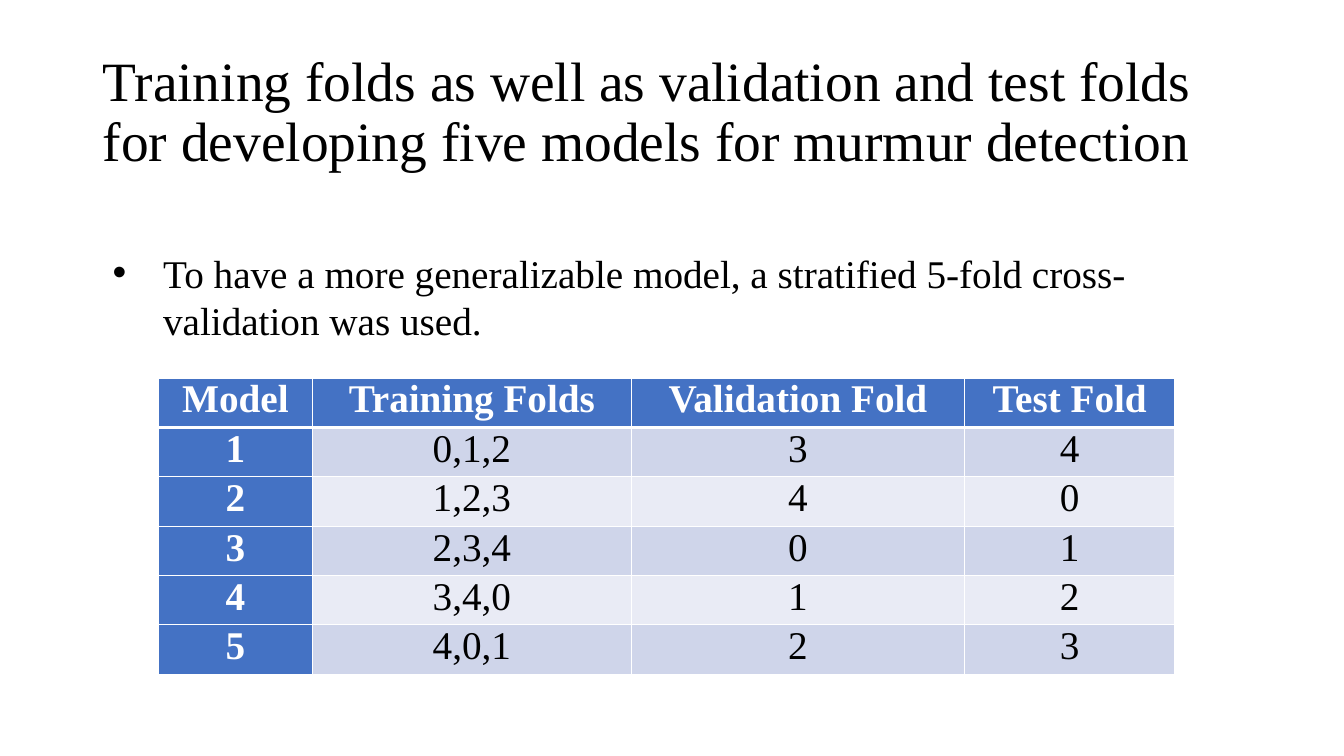
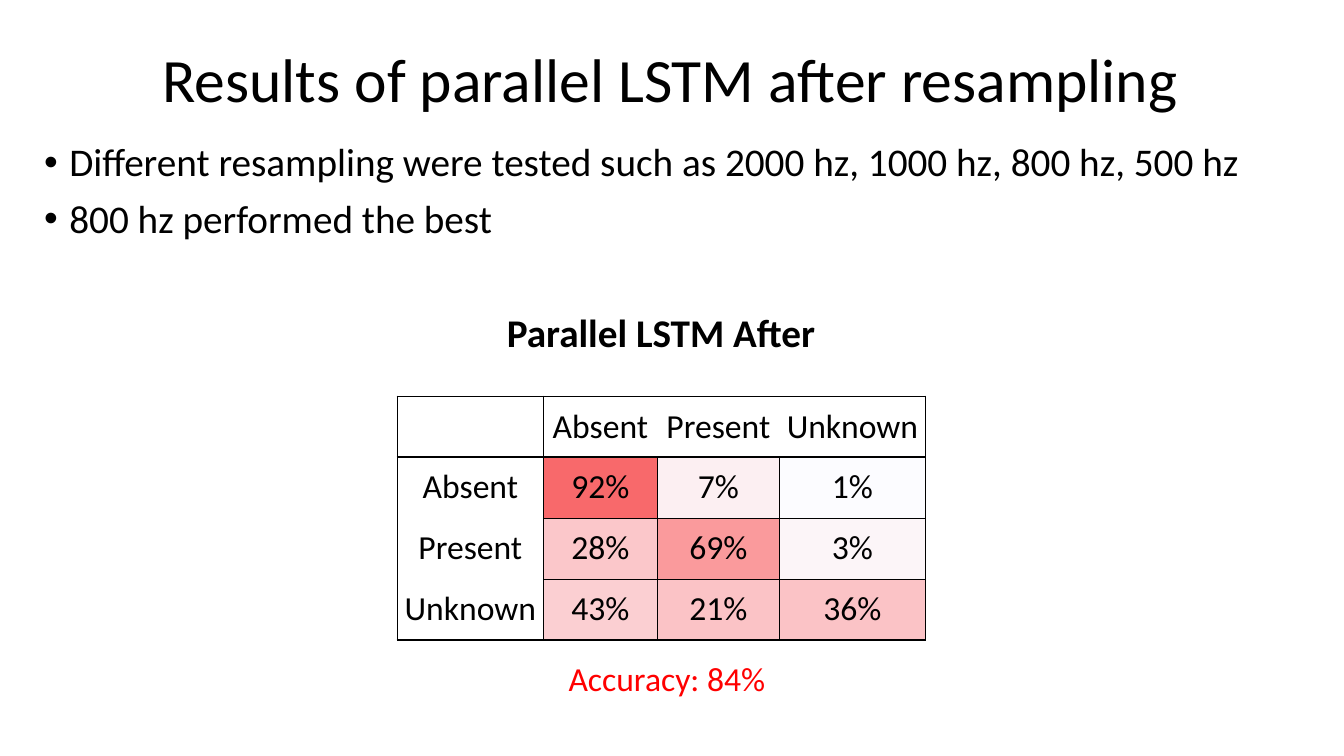
from lxml import etree
from pptx import Presentation
from pptx.dml.color import RGBColor
from pptx.enum.text import MSO_ANCHOR, PP_ALIGN
from pptx.oxml.ns import qn
from pptx.util import Inches, Pt

BLACK = RGBColor(0, 0, 0)
WHITE = RGBColor(0xFF, 0xFF, 0xFF)
RED = RGBColor(0xFF, 0, 0)
BLUE = RGBColor(0x44, 0x72, 0xC4)
BANDS = RGBColor(0xCF, 0xD5, 0xEA), RGBColor(0xE9, 0xEB, 0xF5)
SERIF, SANS = "Times New Roman", "Calibri"
TITLE_SIZE = 11.5, 1.45

FOLDS_TITLE = ("Training folds as well as validation and test folds "
               "for developing five models for murmur detection")
FOLDS_POINTS = ["To have a more generalizable model, a stratified 5-fold cross-validation was used."]
FOLDS = [
    ("Model", "Training Folds", "Validation Fold", "Test Fold"),
    ("1", "0,1,2", "3", "4"),
    ("2", "1,2,3", "4", "0"),
    ("3", "2,3,4", "0", "1"),
    ("4", "3,4,0", "1", "2"),
    ("5", "4,0,1", "2", "3"),
]
FOLDS_WIDTHS = 1.53, 3.16, 3.31, 2.08

RESULTS_TITLE = "Results of parallel LSTM after resampling"
RESULTS_POINTS = [
    "Different resampling were tested such as 2000 hz, 1000 hz, 800 hz, 500 hz",
    "800 hz performed the best",
]
CONFUSION = [
    ("", "Absent", "Present", "Unknown"),
    ("Absent", "92%", "7%", "1%"),
    ("Present", "28%", "69%", "3%"),
    ("Unknown", "43%", "21%", "36%"),
]
CONFUSION_WIDTHS = 1.45, 1.13, 1.21, 1.45
HEAT = [
    ("F8696B", "FCEFF2", "FCFCFF"),
    ("FBC7CA", "FA9A9C", "FCF5F8"),
    ("FBCFD2", "FBC3C6", "FBC3C6"),
]


def style(paragraph, font, size, color=BLACK, bold=False):
    for run in paragraph.runs:
        run.font.name = font
        run.font.size = Pt(size)
        run.font.color.rgb = color
        run.font.bold = bold


def add_text(slide, at, lines, font, size, color=BLACK, bold=False,
             align=PP_ALIGN.LEFT, spacing=1.0, gap=0, indent=0, anchor=MSO_ANCHOR.TOP):
    frame = slide.shapes.add_textbox(*map(Inches, at)).text_frame
    frame.word_wrap = True
    frame.vertical_anchor = anchor
    for number, line in enumerate(lines):
        paragraph = frame.add_paragraph() if number else frame.paragraphs[0]
        paragraph.text = line
        paragraph.alignment = align
        paragraph.line_spacing = spacing
        if number:
            paragraph.space_before = Pt(gap)
        if indent:
            props = paragraph._p.get_or_add_pPr()
            props.set("marL", str(Inches(indent)))
            props.set("indent", str(-Inches(indent)))
            etree.SubElement(props, qn("a:buFont"), typeface="Arial")
            etree.SubElement(props, qn("a:buChar"), char="•")
        style(paragraph, font, size, color, bold)


def add_title(slide, left, top, title, font, size, align=PP_ALIGN.LEFT):
    add_text(slide, (left, top, *TITLE_SIZE), [title], font, size, align=align,
             spacing=0.9, anchor=MSO_ANCHOR.MIDDLE)


def set_borders(cell, color, widths):
    props = cell._tc.get_or_add_tcPr()
    for index, (side, width) in enumerate(zip("LRTB", widths)):
        line = etree.Element(qn(f"a:ln{side}"), w=str(Pt(width)))
        if width:
            fill = etree.SubElement(line, qn("a:solidFill"))
            etree.SubElement(fill, qn("a:srgbClr"), val=str(color))
        else:
            etree.SubElement(line, qn("a:noFill"))
        props.insert(index, line)


def add_grid(slide, left, top, widths, row_height, rows, font, size, side_inset,
             anchor, look, border_color, column_line, row_line):
    table = slide.shapes.add_table(
        len(rows), len(widths), Inches(left), Inches(top),
        Inches(sum(widths)), Inches(row_height * len(rows))).table
    for column, width in zip(table.columns, widths):
        column.width = Inches(width)
    for r, row in enumerate(rows):
        table.rows[r].height = Inches(row_height)
        for c, value in enumerate(row):
            cell = table.cell(r, c)
            fill, color, bold = look(r, c)
            cell.text = value
            cell.vertical_anchor = anchor
            cell.margin_left = cell.margin_right = Inches(side_inset)
            cell.margin_top = cell.margin_bottom = 0
            cell.fill.solid()
            cell.fill.fore_color.rgb = fill
            paragraph = cell.text_frame.paragraphs[0]
            paragraph.alignment = PP_ALIGN.CENTER
            style(paragraph, font, size, color, bold)
            set_borders(cell, border_color, (
                column_line(c, r), column_line(c + 1, r),
                row_line(r, c), row_line(r + 1, c)))


def folds_look(r, c):
    if r == 0 or c == 0:
        return BLUE, WHITE, True
    return BANDS[(r - 1) % 2], BLACK, False


def confusion_look(r, c):
    fill = RGBColor.from_string(HEAT[r - 1][c - 1]) if r and c else WHITE
    return fill, BLACK, False


def confusion_line(line, across):
    if line in (0, 1, len(CONFUSION)):
        return 1
    return 0.5 if across else 0


def build_folds(slide):
    add_title(slide, 0.92, 0.4, FOLDS_TITLE, SERIF, 39.6)
    add_grid(slide, 1.57, 3.75, FOLDS_WIDTHS, 0.49, FOLDS, SERIF, 28, 0.07,
             MSO_ANCHOR.TOP, folds_look, WHITE,
             lambda line, row: 1, lambda line, column: 3 if line == 1 else 1)
    add_text(slide, (1.02, 2.42, 10.84, 1.04), FOLDS_POINTS, SERIF, 28, indent=0.5)


def build_results(slide):
    add_title(slide, 0.9, 0.09, RESULTS_TITLE, SANS, 44, PP_ALIGN.CENTER)
    add_text(slide, (0.34, 1.37, 12.44, 4.76), RESULTS_POINTS, SANS, 28,
             spacing=0.9, gap=10, indent=0.25)
    add_grid(slide, 3.94, 3.93, CONFUSION_WIDTHS, 0.605, CONFUSION, SANS, 24, 0.02,
             MSO_ANCHOR.MIDDLE, confusion_look, BLACK, confusion_line, confusion_line)
    add_text(slide, (4.85, 3.01, 3.41, 0.57), ["Parallel LSTM After"], SANS, 28,
             bold=True, align=PP_ALIGN.CENTER)
    add_text(slide, (5.54, 6.48, 2.21, 0.5), ["Accuracy: 84%"], SANS, 24, RED)


def main():
    deck = Presentation()
    deck.slide_width, deck.slide_height = Inches(13.33), Inches(7.5)
    for build in (build_folds, build_results):
        build(deck.slides.add_slide(deck.slide_layouts[6]))
    deck.save("out.pptx")


if __name__ == "__main__":
    main()
